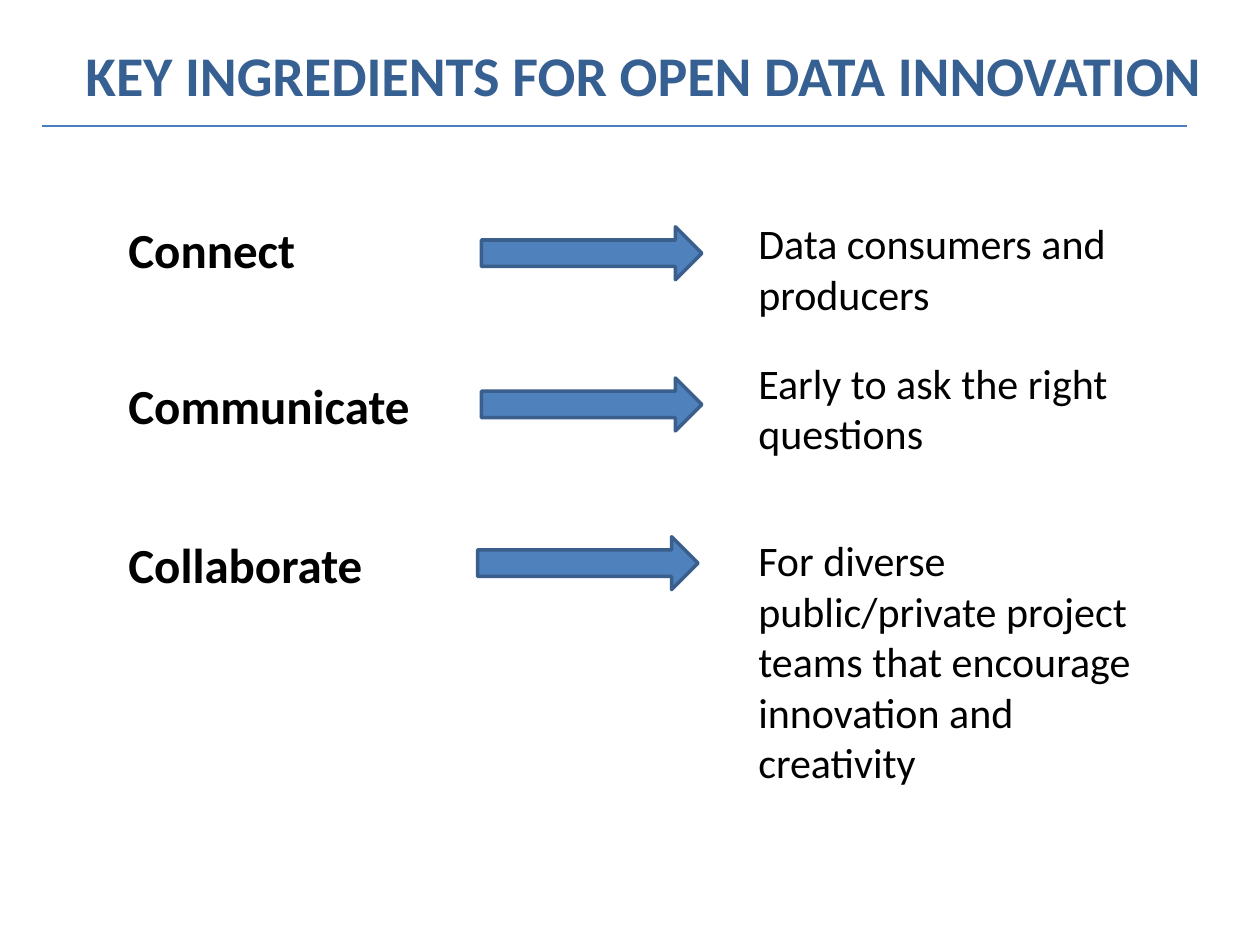
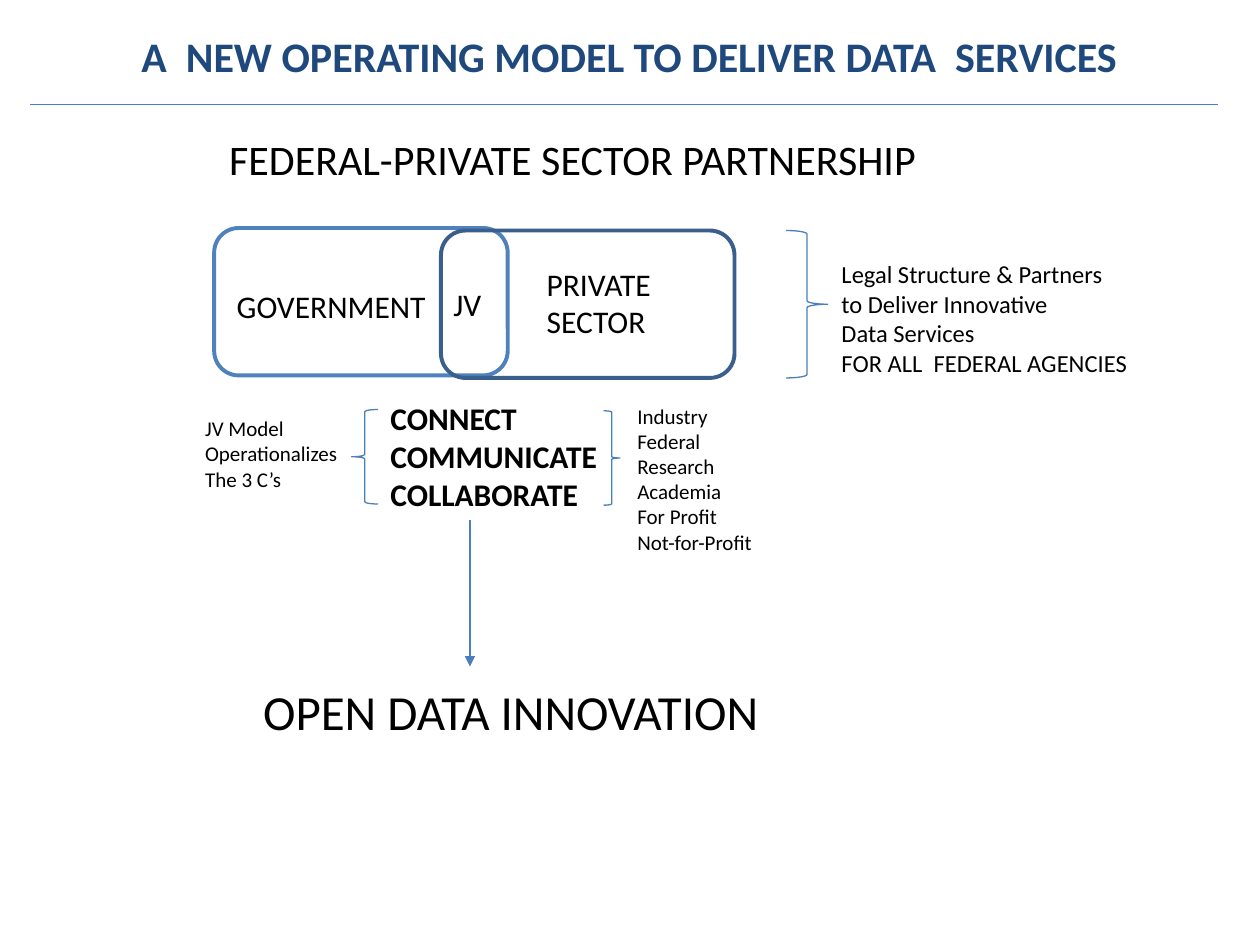
from lxml import etree
from pptx import Presentation
from pptx import util as u
from pptx.dml.color import RGBColor
from pptx.enum import shapes, text
from pptx.oxml import ns

FONT = "Calibri"
BLACK, BLUE, EDGE, RULE = "000000", "4F81BD", "3A5F8C", "4B7EBC"
TITLE_BLUE, TITLE_NAVY = "376092", "1F497D"
SHAPE = shapes.MSO_SHAPE


def color(value):
    """Turn a hex string into a colour."""
    return RGBColor.from_string(value)


def inches(*lengths):
    """Turn plain numbers into lengths."""
    return [u.Inches(length) for length in lengths]


class Builder:
    """Holds the shared style and the slide being built."""

    def __init__(self, deck):
        self.deck = deck
        self.slide = None

    def new_slide(self):
        """Start a blank slide."""
        self.slide = self.deck.slides.add_slide(self.deck.slide_layouts[6])

    def title(self, words, at, size, fill, rule, align=None, wrap=False):
        """Add a bold title and the rule (left, right, height) under it."""
        self.text([words], at, size, bold=True, fill=fill, align=align, wrap=wrap)
        left, right, height = rule
        self.line(left, height, right, height)

    def text(self, lines, at, size, bold=False, fill=BLACK, align=None,
             wrap=False, gaps=()):
        """Add a text box, one paragraph a line; gaps are points before each."""
        frame = self.slide.shapes.add_textbox(*inches(*at)).text_frame
        frame.word_wrap = wrap
        frame.auto_size = text.MSO_AUTO_SIZE.NONE
        frame.text = "\n".join(lines)
        for para in frame.paragraphs:
            para.alignment = align
            for span in para.runs:
                span.font.name = FONT
                span.font.size = u.Pt(size)
                span.font.bold = bold
                span.font.color.rgb = color(fill)
        for para, gap in zip(frame.paragraphs, gaps):
            para.space_before = u.Pt(gap)

    def shape(self, kind, at, line, width, fill=None):
        """Add an outlined preset shape, filled if a colour is given."""
        shape = self.slide.shapes.add_shape(kind, *inches(*at))
        shape.shadow.inherit = False
        shape.line.color.rgb = color(line)
        shape.line.width = u.Pt(width)
        if fill:
            shape.fill.solid()
            shape.fill.fore_color.rgb = color(fill)
        else:
            shape.fill.background()

    def brace(self, kind, at):
        """Add a thin brace."""
        self.shape(kind, at, RULE, 0.75)

    def line(self, x1, y1, x2, y2, arrow=False):
        """Add a thin straight line, with an arrowhead at its end if asked."""
        line = self.slide.shapes.add_connector(
            shapes.MSO_CONNECTOR.STRAIGHT, *inches(x1, y1, x2, y2))
        line.line.color.rgb = color(RULE)
        line.line.width = u.Pt(0.75)
        properties = line._element.spPr
        if arrow:
            outline = properties.find(ns.qn("a:ln"))
            etree.SubElement(outline, ns.qn("a:tailEnd"), type="triangle")
        etree.SubElement(properties, ns.qn("a:effectLst"))


def ingredients(builder):
    """Build the slide of the three ingredients."""
    builder.new_slide()
    builder.title("KEY INGREDIENTS FOR OPEN DATA INNOVATION",
                  (0.58, 0.27, 9.14, 0.64), 32, TITLE_BLUE, (0.33, 9.42, 1))
    for left, top in ((3.82, 1.8), (3.82, 3), (3.79, 4.26)):
        builder.shape(SHAPE.RIGHT_ARROW, (left, top, 1.75, 0.42), EDGE, 2, BLUE)
    builder.text(["Connect", "Communicate", "Collaborate"],
                 (0.92, 1.69, 2.75, 3.4), 28, bold=True, wrap=True,
                 gaps=(0, 56, 57))
    builder.text(["Data consumers and producers",
                  "Early to ask the right questions",
                  "For diverse public/private project teams that encourage "
                  "innovation and creativity"],
                 (5.92, 1.68, 3.17, 5.25), 24, wrap=True, gaps=(0, 22, 44))


def operating_model(builder):
    """Build the slide of the partnership model."""
    builder.new_slide()
    builder.title("A  NEW OPERATING MODEL TO DELIVER DATA  SERVICES",
                  (0.58, 0.19, 8.83, 0.5), 24, TITLE_NAVY, (0.24, 9.67, 0.83),
                  align=text.PP_ALIGN.CENTER, wrap=True)
    builder.text(["FEDERAL-PRIVATE SECTOR PARTNERSHIP"],
                 (1.72, 1.01, 5.71, 0.5), 24)

    # Overlapping partners
    for left, top, edge in ((1.7, 1.81, BLUE), (3.5, 1.83, EDGE)):
        builder.shape(SHAPE.ROUNDED_RECTANGLE, (left, top, 2.33, 1.17), edge, 2.25)
    builder.text(["GOVERNMENT"], (1.78, 2.23, 1.72, 0.4), 18)
    builder.text(["JV"], (3.5, 2.21, 0.43, 0.4), 18)
    builder.text(["PRIVATE", "SECTOR"], (4.24, 2.05, 1.03, 0.71), 18)
    builder.brace(SHAPE.RIGHT_BRACE, (6.24, 1.83, 0.33, 1.17))
    builder.text(["Legal Structure & Partners", "to Deliver Innovative",
                  "Data Services", "FOR ALL  FEDERAL AGENCIES"],
                 (6.58, 2.01, 2.48, 1.04), 14)

    # The three Cs between their braces
    builder.text(["JV Model", "Operationalizes", "The 3 C’s"],
                 (1.53, 3.25, 1.26, 0.71), 12)
    builder.brace(SHAPE.LEFT_BRACE, (2.79, 3.25, 0.21, 0.75))
    builder.text(["CONNECT", "COMMUNICATE", "COLLABORATE"],
                 (3, 3.12, 1.86, 1.01), 18, bold=True)
    builder.brace(SHAPE.RIGHT_BRACE, (4.79, 3.26, 0.13, 0.75))
    builder.text(["Industry", "Federal", "Research", "Academia", "For Profit",
                  "Not-for-Profit"], (4.96, 3.15, 1.12, 1.31), 12)

    builder.line(3.73, 4.13, 3.73, 5.29, arrow=True)
    builder.text(["OPEN DATA INNOVATION"], (1.99, 5.36, 4.18, 0.57), 28)


deck = Presentation()
deck.slide_width, deck.slide_height = inches(10, 7.5)
builder = Builder(deck)
ingredients(builder)
operating_model(builder)
deck.save("out.pptx")
